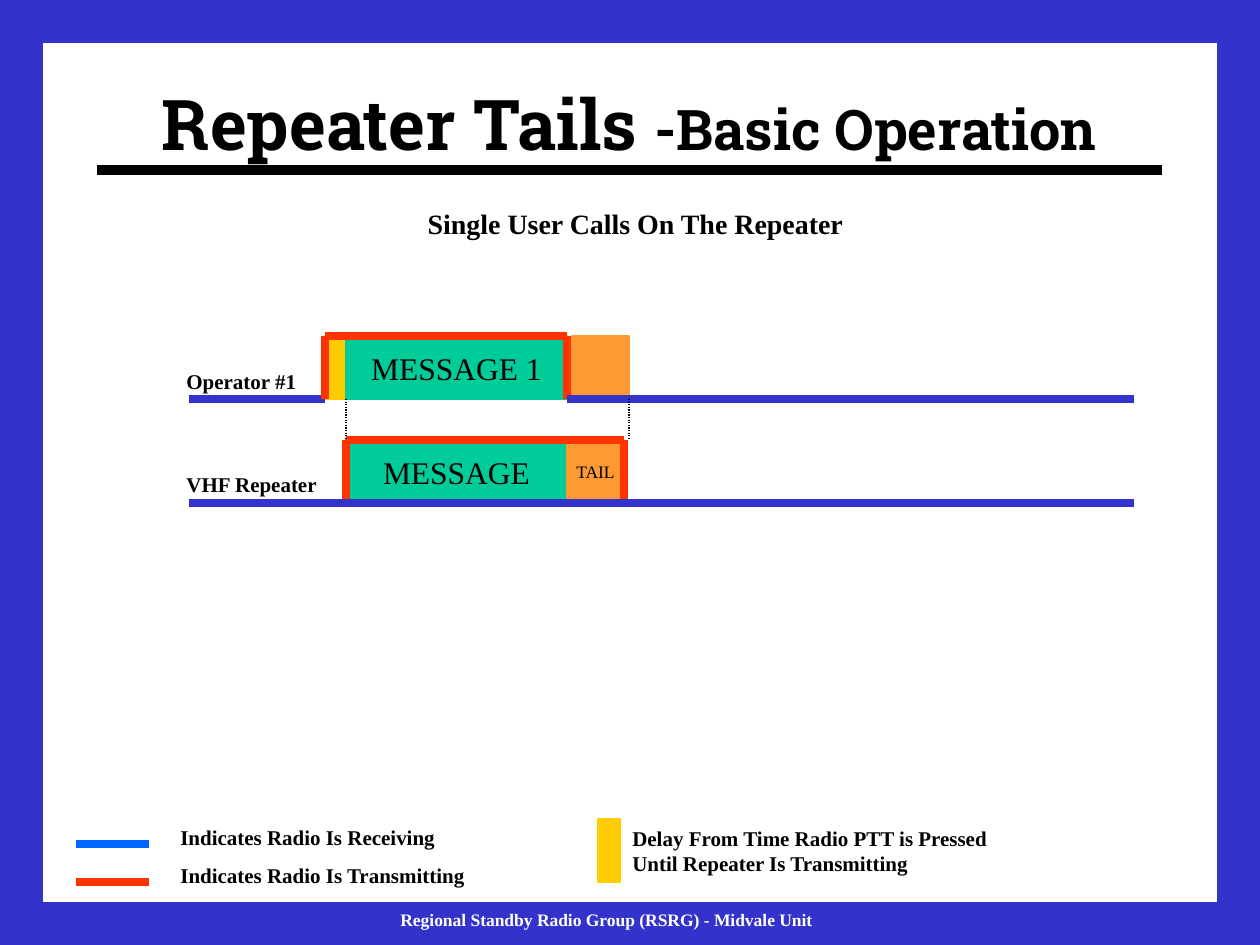
from typing import NamedTuple

from lxml import etree
from pptx import Presentation
from pptx.dml.color import RGBColor
from pptx.enum import dml, shapes, text
from pptx.oxml import ns
from pptx.util import Pt

EMU_PER_PX = 914400 / 126
SERIF = "Times New Roman"
BLACK, WHITE = "000000", "FFFFFF"
BLUE, RED, LEGEND_BLUE = "3333CC", "FF3300", "0066FF"
YELLOW, GREEN, ORANGE = "FFCC00", "00CC99", "FF9933"
LEFT, CENTER = text.PP_ALIGN.LEFT, text.PP_ALIGN.CENTER


class Block(NamedTuple):
    x: int
    y: int
    width: int
    height: int
    color: str
    caption: str = ""
    size: int = 18


class Segment(NamedTuple):
    x1: int
    y1: int
    x2: int
    y2: int
    color: str
    weight: float = 4.5
    dotted: bool = False


class Label(NamedTuple):
    x: int
    y: int
    width: int
    height: int
    lines: list[str]
    size: int = 12
    color: str = BLACK
    align: text.PP_ALIGN = LEFT
    wrap: bool = False


def px(value: int) -> int:
    return round(value * EMU_PER_PX)


def rgb(color: str) -> RGBColor:
    return RGBColor.from_string(color)


def style(paragraph, size: int, color: str, align, bold: bool) -> None:
    paragraph.alignment = align
    font = paragraph.font
    font.name, font.size, font.bold = SERIF, Pt(size), bold
    font.color.rgb = rgb(color)


def draw_block(slide, block: Block) -> None:
    rect = slide.shapes.add_shape(
        shapes.MSO_SHAPE.RECTANGLE,
        px(block.x), px(block.y), px(block.width), px(block.height))
    rect.shadow.inherit = False
    rect.fill.solid()
    rect.fill.fore_color.rgb = rgb(block.color)
    rect.line.color.rgb = rgb(block.color)
    rect.line.width = Pt(0.75)
    if block.caption:
        frame = rect.text_frame
        frame.word_wrap = False
        frame.vertical_anchor = text.MSO_ANCHOR.MIDDLE
        frame.text = block.caption
        style(frame.paragraphs[0], block.size, BLACK, CENTER, False)


def draw_segment(slide, segment: Segment) -> None:
    line = slide.shapes.add_connector(
        shapes.MSO_CONNECTOR.STRAIGHT,
        px(segment.x1), px(segment.y1), px(segment.x2), px(segment.y2))
    line.line.color.rgb = rgb(segment.color)
    line.line.width = Pt(segment.weight)
    if segment.dotted:
        line.line.dash_style = dml.MSO_LINE.ROUND_DOT
    etree.SubElement(line._element.spPr, ns.qn("a:effectLst"))


def draw_label(slide, label: Label) -> None:
    box = slide.shapes.add_textbox(
        px(label.x), px(label.y), px(label.width), px(label.height))
    frame = box.text_frame
    frame.word_wrap = label.wrap
    frame.text = "\n".join(label.lines)
    for paragraph in frame.paragraphs:
        style(paragraph, label.size, label.color, label.align, True)


def draw_title(slide) -> None:
    frame = slide.shapes.add_textbox(px(94), px(43), px(1071), px(158)).text_frame
    frame.word_wrap = True
    frame.vertical_anchor = text.MSO_ANCHOR.MIDDLE
    title = frame.paragraphs[0]
    style(title, 40, BLACK, CENTER, True)
    title.font.name = "Roboto Slab"
    for words, size in (("Repeater Tails ", 40), ("-Basic Operation", 32)):
        run = title.add_run()
        run.text = words
        run.font.size = Pt(size)


# Slide frame
WIDTH, HEIGHT, BORDER = 1260, 945, 42
FRAME = [
    Block(0, 0, WIDTH, BORDER, BLUE),
    Block(0, HEIGHT - BORDER, WIDTH, BORDER, BLUE),
    Block(0, BORDER, BORDER, HEIGHT - 2 * BORDER, BLUE),
    Block(WIDTH - BORDER, BORDER, BORDER, HEIGHT - 2 * BORDER, BLUE),
]

# Moments along the timeline, and the levels of the two radios
START, PRESSED, KEYED, RELEASED, TAIL_END, END = 189, 325, 346, 567, 624, 1134
HEARD_TAIL, HEARD_END = 572, 629
RISE = 63
OP_BASE, REP_BASE = 399, 503
OP_TOP, REP_TOP = OP_BASE - RISE, REP_BASE - RISE
MESSAGE, TAIL = RELEASED - KEYED, TAIL_END - RELEASED

BLOCKS = [
    Block(PRESSED, OP_TOP, KEYED - PRESSED, RISE, YELLOW),
    Block(KEYED, OP_TOP, MESSAGE, RISE, GREEN, "MESSAGE 1"),
    Block(KEYED, REP_TOP, MESSAGE, RISE, GREEN, "MESSAGE"),
    Block(HEARD_TAIL, OP_TOP, TAIL, RISE, ORANGE),
    Block(RELEASED, REP_TOP, TAIL, RISE, ORANGE, "TAIL", 10),
    Block(598, 819, 22, RISE, YELLOW),
]

TIMELINE = (
    # Operator: receiving, transmitting, receiving
    [Segment(START, OP_BASE, PRESSED, OP_BASE, BLUE)]
    + [Segment(a, OP_TOP, b, OP_TOP, RED)
       for a, b in ((PRESSED, KEYED), (KEYED, RELEASED))]
    + [Segment(x, OP_TOP, x, OP_BASE, RED) for x in (PRESSED, RELEASED)]
    + [Segment(RELEASED, OP_BASE, END, OP_BASE, BLUE)]
    # Repeater: transmits the message and the tail
    + [Segment(a, REP_TOP, b, REP_TOP, RED)
       for a, b in ((KEYED, RELEASED), (RELEASED, TAIL_END))]
    + [Segment(x, REP_TOP, x, REP_BASE, RED) for x in (KEYED, TAIL_END)]
    + [Segment(a, REP_BASE, b, REP_BASE, BLUE)
       for a, b in ((START, PRESSED), (PRESSED, KEYED), (KEYED, RELEASED),
                    (RELEASED, TAIL_END), (TAIL_END, END))]
    # Time marks between the radios
    + [Segment(x, OP_BASE, x, REP_TOP, BLACK, 0.75, True)
       for x in (KEYED, HEARD_END)]
)

RULE_AND_KEYS = [
    Segment(97, 170, 1162, 170, BLACK, 6),
    Segment(76, 844, 149, 844, LEGEND_BLUE),
    Segment(76, 882, 149, 882, RED),
]

LABELS = [
    Label(388, 903, 479, 34,
          ["Regional Standby Radio Group (RSRG) - Midvale Unit"], 10, WHITE),
    Label(100, 200, 1071, 47, ["Single User Calls On The Repeater"],
          16, align=CENTER, wrap=True),
    Label(174, 362, 135, 38, ["Operator #1"]),
    Label(174, 465, 156, 38, ["VHF Repeater"]),
    Label(168, 818, 280, 38, ["Indicates Radio Is Receiving"]),
    Label(168, 856, 311, 38, ["Indicates Radio Is Transmitting"]),
    Label(620, 819, 455, 63,
          ["Delay From Time Radio PTT is Pressed",
           "Until Repeater Is Transmitting"], wrap=True),
]


def main() -> None:
    deck = Presentation()
    deck.slide_width, deck.slide_height = px(WIDTH), px(HEIGHT)
    slide = deck.slides.add_slide(deck.slide_layouts[6])
    for block in FRAME + BLOCKS:
        draw_block(slide, block)
    for segment in RULE_AND_KEYS + TIMELINE:
        draw_segment(slide, segment)
    draw_title(slide)
    for label in LABELS:
        draw_label(slide, label)
    deck.save("out.pptx")


if __name__ == "__main__":
    main()
